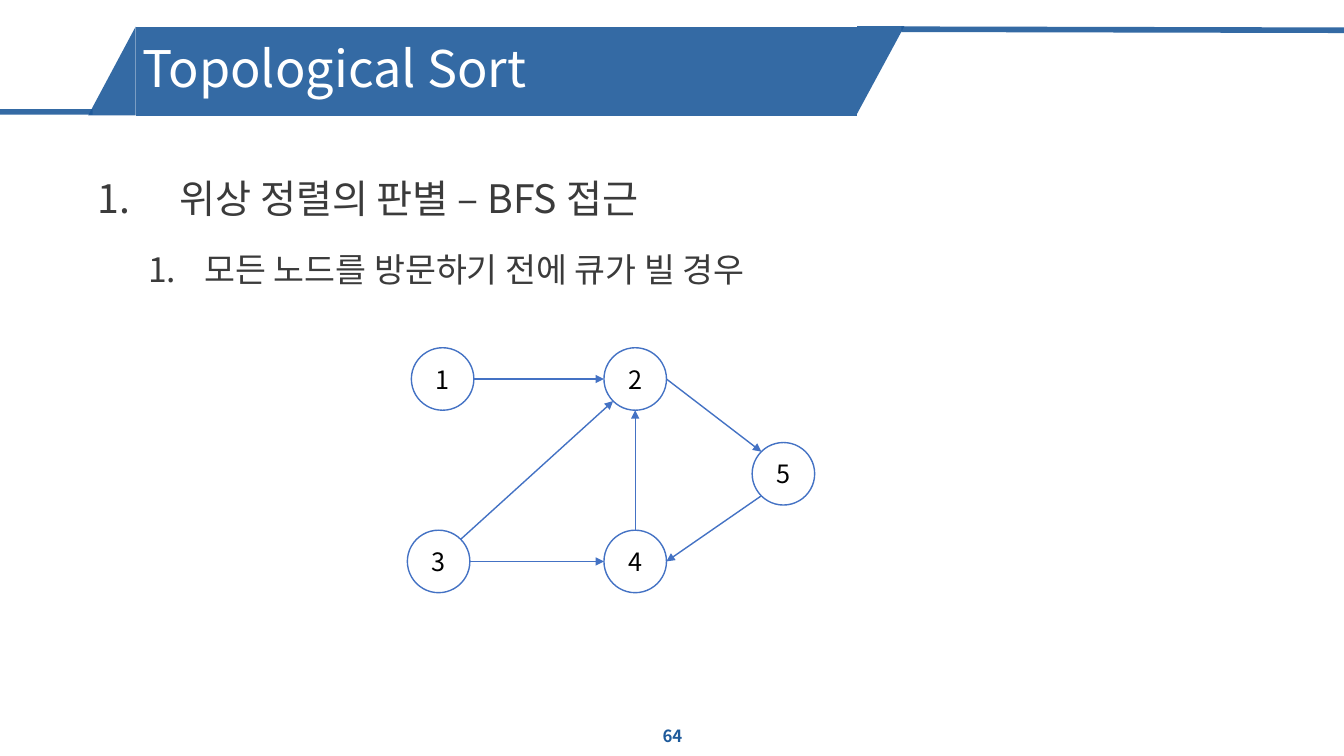
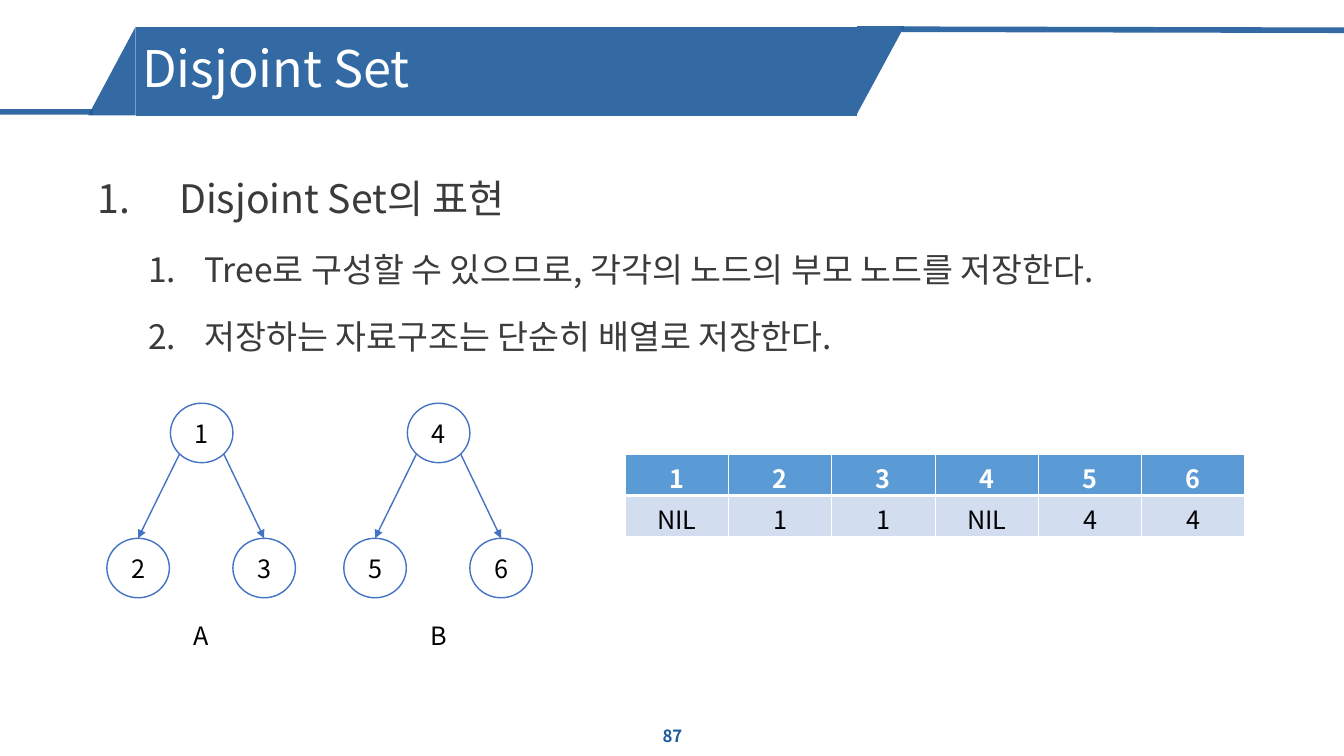
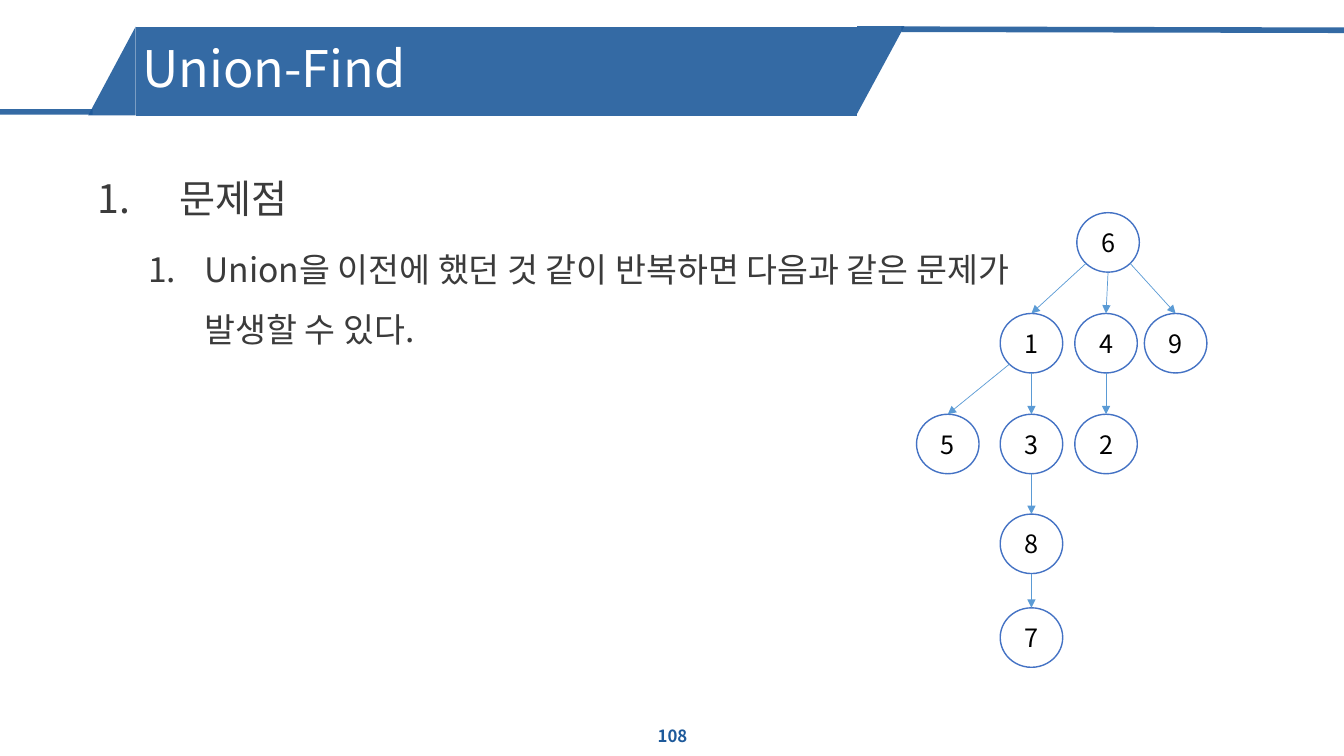
from dataclasses import dataclass
from math import cos, radians, sin

from lxml import etree
from pptx import Presentation
from pptx.dml.color import RGBColor
from pptx.enum.shapes import MSO_CONNECTOR, MSO_SHAPE
from pptx.enum.text import MSO_ANCHOR, MSO_AUTO_SIZE, PP_ALIGN
from pptx.oxml.ns import qn
from pptx.util import Pt

STRAIGHT = MSO_CONNECTOR.STRAIGHT
RECTANGLE, TRIANGLE, OVAL = MSO_SHAPE.RECTANGLE, MSO_SHAPE.RIGHT_TRIANGLE, MSO_SHAPE.OVAL
MIDDLE = MSO_ANCHOR.MIDDLE
LEFT_ALIGN, CENTER = PP_ALIGN.LEFT, PP_ALIGN.CENTER

# Connection sites of an ellipse, counter-clockwise in steps of 45 degrees
TOP, TOP_LEFT, LEFT, BOTTOM_LEFT, BOTTOM, BOTTOM_RIGHT, RIGHT, TOP_RIGHT = range(8)

EMU_PER_PX = 9144  # 100 px to the inch


@dataclass(frozen=True)
class Theme:
    font: str = "Noto Sans CJK KR"
    band: str = "1E5A9B"
    white: str = "FFFFFF"
    body: str = "3B3B3B"
    black: str = "000000"
    node_line: str = "4472C4"
    light_edge: str = "5B9BD5"
    table_head: str = "5B9BD5"
    table_body: str = "D2DEEF"
    band_opacity: int = 90
    title_size: int = 36
    node_size: int = 18
    footer_size: int = 12


THEME = Theme()

# Per outline level: type size, left margin, hanging indent, space before
LEVELS = [(28, 81, 81, 10), (24, 106, 56, 5)]

SLIDES = [
    {
        "title": "Topological Sort",
        "number": 64,
        "body": [(0, "위상 정렬의 판별 – BFS 접근"), (1, "모든 노드를 방문하기 전에 큐가 빌 경우")],
        "node_height": 62,
        "nodes": {"1": (408, 345), "2": (599, 345), "4": (599, 526), "5": (746, 439), "3": (404, 526)},
        "edge_style": (THEME.node_line, 1),
        "edges": [
            ("2", RIGHT, "5", TOP_LEFT),
            ("1", RIGHT, "2", LEFT),
            ("3", RIGHT, "4", LEFT),
            ("3", TOP_RIGHT, "2", BOTTOM_LEFT),
            ("4", TOP, "2", BOTTOM),
            ("5", BOTTOM_LEFT, "4", RIGHT),
        ],
    },
    {
        "title": "Disjoint Set",
        "number": 87,
        "body": [
            (0, "Disjoint Set의 표현"),
            (1, "Tree로 구성할 수 있으므로, 각각의 노드의 부모 노드를 저장한다."),
            (1, "저장하는 자료구조는 단순히 배열로 저장한다."),
        ],
        "node_height": 59,
        "nodes": {
            "1": (169, 400), "4": (404, 400),
            "2": (106, 534), "3": (231, 534), "5": (341, 534), "6": (466, 534),
        },
        "edge_style": (THEME.node_line, 1),
        "edges": [
            ("1", BOTTOM_LEFT, "2", TOP),
            ("1", BOTTOM_RIGHT, "3", TOP),
            ("4", BOTTOM_LEFT, "5", TOP),
            ("4", BOTTOM_RIGHT, "6", TOP),
        ],
        "labels": [("A", 182, 610), ("B", 417, 610)],
        "table": [["1", "2", "3", "4", "5", "6"], ["NIL", "1", "1", "NIL", "4", "4"]],
    },
    {
        "title": "Union-Find",
        "number": 108,
        "body": [
            (0, "문제점"),
            (1, "Union을 이전에 했던 것 같이 반복하면 다음과 같은 문제가\v발생할 수 있다."),
        ],
        "node_height": 59,
        "nodes": {
            "6": (1068, 211),
            "1": (992, 311), "4": (1066, 311), "9": (1135, 311),
            "5": (909, 411), "3": (992, 411), "2": (1066, 411),
            "8": (992, 510),
            "7": (992, 603),
        },
        "edge_style": (THEME.light_edge, 0.5),
        "edges": [
            ("6", BOTTOM_LEFT, "1", TOP),
            ("6", BOTTOM, "4", TOP),
            ("6", BOTTOM_RIGHT, "9", TOP),
            ("1", BOTTOM_LEFT, "5", TOP),
            ("1", BOTTOM, "3", TOP),
            ("4", BOTTOM, "2", TOP),
            ("3", BOTTOM, "8", TOP),
            ("8", BOTTOM, "7", TOP),
        ],
    },
]

NODE_WIDTH = 62
TITLE_BOX = (131, 30, 715, 81)
BODY_BOX = (87, 145, 1148, 561)
FOOTER_BOX = (517, 710, 300, 40)
TABLE_BOX = (620, 451, 615, 81)
BAND_SHAPES = [
    (TRIANGLE, (830, 46, 87, 47), 90),
    (TRIANGLE, (67, 47, 88, 47), 270),
    (RECTANGLE, (135, 27, 715, 88), 0),
]
BAND_LINES = [((92, 111), (0, 111)), ((1333, 30), (894, 29))]


def px(*lengths):
    return [round(length * EMU_PER_PX) for length in lengths]


def rgb(color):
    return RGBColor.from_string(color)


def add_xml(parent, tag, **attributes):
    return etree.SubElement(parent, qn(tag), {k: str(v) for k, v in attributes.items()})


def style(p, size, color, bold=False, align=LEFT_ALIGN):
    """Format a paragraph, naming the font for East Asian text as well."""
    p.alignment = align
    p.font.size = Pt(size)
    p.font.bold = bold
    p.font.name = THEME.font
    p.font.color.rgb = rgb(color)
    add_xml(p._p.find(".//" + qn("a:defRPr")), "a:ea", typeface=THEME.font)


def make_translucent(shape):
    for color in shape._element.spPr.iter(qn("a:srgbClr")):
        add_xml(color, "a:alpha", val=THEME.band_opacity * 1000)


def add_line(s, start, end, color, width):
    """Draw a straight line between two points given in px."""
    line = s.shapes.add_connector(STRAIGHT, *px(*start, *end))
    line.line.color.rgb = rgb(color)
    line.line.width = Pt(width)
    add_xml(line._element.spPr, "a:effectLst")
    return line


def add_filled(s, kind, box, color):
    shape = s.shapes.add_shape(kind, *px(*box))
    shape.shadow.inherit = False
    shape.fill.solid()
    shape.fill.fore_color.rgb = rgb(color)
    shape.line.fill.background()
    return shape


def add_text(s, text, box, size, color, bold=False, align=CENTER):
    tf = s.shapes.add_textbox(*px(*box)).text_frame
    tf.word_wrap = True
    tf.vertical_anchor = MIDDLE
    tf.text = text
    style(tf.paragraphs[0], size, color, bold, align)


def move_band_to_layout(s):
    """Draw the title band on a slide, then hand it to the layout all slides use."""
    parts = [add_line(s, start, end, THEME.band, 4) for start, end in BAND_LINES]
    for kind, box, rotation in BAND_SHAPES:
        shape = add_filled(s, kind, box, THEME.band)
        shape.rotation = rotation
        parts.append(shape)
    layout = s.slide_layout
    for placeholder in list(layout.placeholders)[1:]:
        layout.shapes.element.remove(placeholder._element)
    for position, part in enumerate(parts, start=2):
        make_translucent(part)
        layout.shapes.element.insert(position, part._element)


def set_title(s, text):
    title = s.shapes.title
    title.left, title.top, title.width, title.height = px(*TITLE_BOX)
    tf = title.text_frame
    tf.text = text
    tf.word_wrap = True
    tf.auto_size = MSO_AUTO_SIZE.NONE
    tf.vertical_anchor = MIDDLE
    p = tf.paragraphs[0]
    p.line_spacing = 0.9
    style(p, THEME.title_size, THEME.white)


def add_body(s, items):
    tf = s.shapes.add_textbox(*px(*BODY_BOX)).text_frame
    tf.word_wrap = True
    for i, (level, text) in enumerate(items):
        size, margin, hanging, before = LEVELS[level]
        p = tf.add_paragraph() if i else tf.paragraphs[0]
        p.text = text
        p.level = level
        p.line_spacing = 1.5
        if i:
            p.space_before = Pt(before)
        pPr = p._p.get_or_add_pPr()
        left, indent = px(margin, -hanging)
        pPr.set("marL", str(left))
        pPr.set("indent", str(indent))
        add_xml(pPr, "a:buFont", typeface="+mj-lt")
        add_xml(pPr, "a:buAutoNum", type="arabicPeriod")
        style(p, size, THEME.body)


def add_node(s, text, left, top, height):
    node = add_filled(s, OVAL, (left, top, NODE_WIDTH, height), THEME.white)
    node.line.color.rgb = rgb(THEME.node_line)
    node.line.width = Pt(1)
    tf = node.text_frame
    tf.margin_left = tf.margin_right = tf.margin_top = tf.margin_bottom = 0
    tf.vertical_anchor = MIDDLE
    tf.text = text
    style(tf.paragraphs[0], THEME.node_size, THEME.black, align=CENTER)
    return node


def add_graph(s, nodes, height, edges, edge_style):
    """Draw the nodes and the arrows glued to their connection sites."""
    ovals = {name: add_node(s, name, *at, height) for name, at in nodes.items()}

    def site_point(name, site):
        left, top = nodes[name]
        angle = radians(45 * site)
        return (left + NODE_WIDTH / 2 * (1 - sin(angle)), top + height / 2 * (1 - cos(angle)))

    for source, out_site, target, in_site in edges:
        arrow = add_line(s, site_point(source, out_site), site_point(target, in_site), *edge_style)
        add_xml(arrow._element.spPr.find(qn("a:ln")), "a:tailEnd", type="triangle")
        joints = arrow._element.find(".//" + qn("p:cNvCxnSpPr"))
        add_xml(joints, "a:stCxn", id=ovals[source].shape_id, idx=out_site)
        add_xml(joints, "a:endCxn", id=ovals[target].shape_id, idx=in_site)


def set_borders(cell, **widths):
    tcPr = cell._tc.get_or_add_tcPr()
    for side, width in widths.items():
        ln = add_xml(tcPr, "a:ln" + side, w=Pt(width))
        add_xml(add_xml(ln, "a:solidFill"), "a:srgbClr", val=THEME.white)


def add_parent_table(s, rows):
    table = s.shapes.add_table(len(rows), len(rows[0]), *px(*TABLE_BOX)).table
    table.horz_banding = False
    for r, row in enumerate(rows):
        head = r == 0
        for c, text in enumerate(row):
            cell = table.cell(r, c)
            set_borders(cell, L=1, R=1, T=1 if head else 3, B=3 if head else 1)
            cell.fill.solid()
            cell.fill.fore_color.rgb = rgb(THEME.table_head if head else THEME.table_body)
            cell.text = text
            color = THEME.white if head else THEME.black
            style(cell.text_frame.paragraphs[0], THEME.node_size, color, head, CENTER)


def main():
    prs = Presentation()
    prs.slide_width, prs.slide_height = px(1333, 750)
    title_only = prs.slide_layouts[5]
    for i, content in enumerate(SLIDES):
        s = prs.slides.add_slide(title_only)
        if i == 0:
            move_band_to_layout(s)
        set_title(s, content["title"])
        add_text(s, str(content["number"]), FOOTER_BOX, THEME.footer_size, THEME.band, bold=True)
        add_body(s, content["body"])
        add_graph(s, content["nodes"], content["node_height"], content["edges"], content["edge_style"])
        for text, left, top in content.get("labels", []):
            add_text(s, text, (left, top, 36, 40), THEME.node_size, THEME.black)
        if "table" in content:
            add_parent_table(s, content["table"])
    prs.save("out.pptx")


if __name__ == "__main__":
    main()
